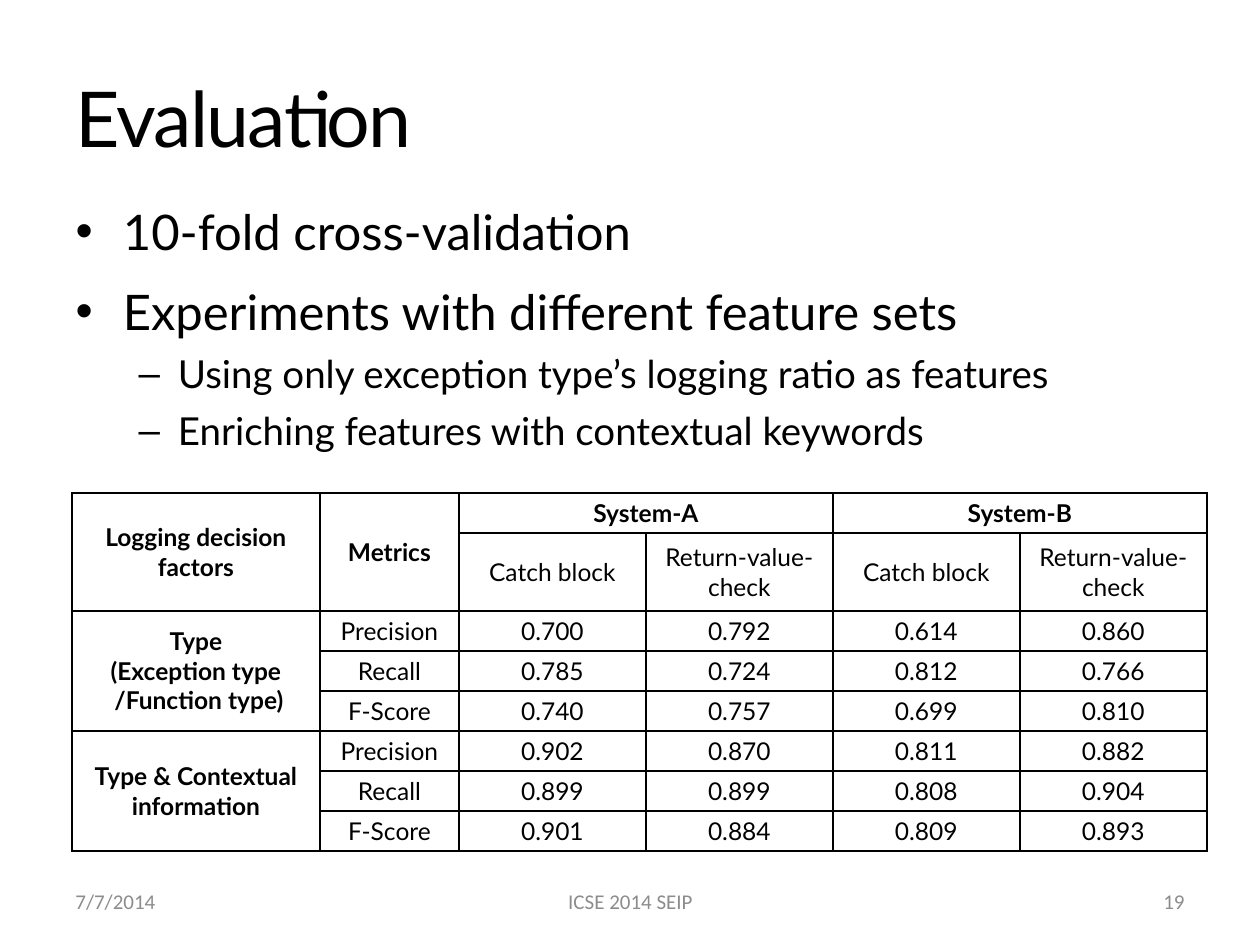
from dataclasses import dataclass

from lxml import etree
from pptx import Presentation
from pptx.dml.color import RGBColor
from pptx.enum.text import MSO_ANCHOR, PP_ALIGN
from pptx.oxml.ns import qn
from pptx.util import Emu, Pt

LEFT, CENTER, RIGHT = PP_ALIGN.LEFT, PP_ALIGN.CENTER, PP_ALIGN.RIGHT
MIDDLE = MSO_ANCHOR.MIDDLE
SCALE = 914400 / 126
BLACK, GRAY = "000000", "8C8C8C"


@dataclass
class Item:
    text: str
    level: int
    size: int
    before: int


@dataclass
class Note:
    text: str
    left: int
    width: int
    align: PP_ALIGN


ITEMS = [
    Item("10-fold cross-validation", 0, 28, 12),
    Item("Experiments with different feature sets", 0, 28, 12),
    Item("Using only exception type’s logging ratio as features", 1, 22, 6),
    Item("Enriching features with contextual keywords", 1, 22, 6),
]
NOTES = [
    Note("7/7/2014", 63, 294, LEFT),
    Note("ICSE 2014 SEIP", 431, 399, CENTER),
    Note("19", 903, 294, RIGHT),
]
COLS = [248, 139] + [187] * 4
ROWS = [40, 78] + [40] * 6
CELLS = [
    ["Logging decision factors", "Metrics", "System-A", "", "System-B", ""],
    ["", ""] + ["Catch block", "Return-value-check"] * 2,
    ["Type\n(Exception type\n /Function type)", "Precision", "0.700", "0.792", "0.614", "0.860"],
    ["", "Recall", "0.785", "0.724", "0.812", "0.766"],
    ["", "F-Score", "0.740", "0.757", "0.699", "0.810"],
    ["Type & Contextual information", "Precision", "0.902", "0.870", "0.811", "0.882"],
    ["", "Recall", "0.899", "0.899", "0.808", "0.904"],
    ["", "F-Score", "0.901", "0.884", "0.809", "0.893"],
]
SPANS = [(0, 0, 1, 0), (0, 1, 1, 1), (0, 2, 0, 3), (0, 4, 0, 5), (2, 0, 4, 0), (5, 0, 7, 0)]
HEAVY = {2, 5}


def px(count: int) -> Emu:
    return Emu(round(count * SCALE))


def color(code: str) -> RGBColor:
    return RGBColor.from_string(code)


def place(shape, left: int, top: int, width: int, height: int) -> None:
    shape.left, shape.top = px(left), px(top)
    shape.width, shape.height = px(width), px(height)


def style(para, size: int, face: str = "Lato", ink: str = BLACK,
          align: PP_ALIGN = LEFT, bold: bool = False) -> None:
    para.alignment = align
    font = para.font
    font.name, font.size, font.bold = face, Pt(size), bold
    font.color.rgb = color(ink)


def draw_title(shape) -> None:
    place(shape, 63, 38, 1134, 158)
    shape.text_frame.vertical_anchor = MIDDLE
    para = shape.text_frame.paragraphs[0]
    run = para.add_run()
    run.text = "Evaluation"
    run._r.get_or_add_rPr().set("spc", "-100")
    style(para, 44)


def draw_list(shape) -> None:
    place(shape, 63, 195, 1134, 649)
    frame = shape.text_frame
    frame.text = "\n".join(item.text for item in ITEMS)
    for para, item in zip(frame.paragraphs, ITEMS):
        para.level = item.level
        para.space_before = Pt(item.before)
        style(para, item.size)


def draw_edge(cell, row: int) -> None:
    props = cell._tc.get_or_add_tcPr()
    last = row + cell.span_height
    sides = {
        "a:lnL": 1,
        "a:lnR": 1,
        "a:lnT": 1.5 if row in HEAVY else 1,
        "a:lnB": 1.5 if last in HEAVY else 1,
    }
    for spot, (tag, width) in enumerate(sides.items()):
        line = etree.Element(qn(tag), w=str(Pt(width)))
        fill = etree.SubElement(line, qn("a:solidFill"))
        etree.SubElement(fill, qn("a:srgbClr"), val=BLACK)
        props.insert(spot, line)


def draw_cell(cell, text: str, row: int, col: int) -> None:
    cell.fill.background()
    cell.vertical_anchor = MIDDLE
    cell.margin_left = cell.margin_right = cell.margin_top = cell.margin_bottom = 0
    cell.text = text
    for para in cell.text_frame.paragraphs:
        style(para, 14, align=CENTER, bold=row == 0 or col == 0)
    draw_edge(cell, row)


def draw_table(slide) -> None:
    table = slide.shapes.add_table(len(ROWS), len(COLS), px(72), px(493),
                                   px(sum(COLS)), px(sum(ROWS))).table
    table.first_row = table.horz_banding = False
    for col, width in zip(table.columns, COLS):
        col.width = px(width)
    for row, height in zip(table.rows, ROWS):
        row.height = px(height)
    for top, left, low, right in SPANS:
        table.cell(top, left).merge(table.cell(low, right))
    for row, texts in enumerate(CELLS):
        for col, text in enumerate(texts):
            draw_cell(table.cell(row, col), text, row, col)


def draw_note(slide, note: Note) -> None:
    box = slide.shapes.add_textbox(px(note.left), px(876), px(note.width), px(50))
    frame = box.text_frame
    frame.word_wrap = True
    frame.vertical_anchor = MIDDLE
    frame.text = note.text
    style(frame.paragraphs[0], 12, "Calibri", GRAY, note.align)


def main() -> None:
    deck = Presentation()
    deck.slide_width, deck.slide_height = px(1260), px(945)
    slide = deck.slides.add_slide(deck.slide_layouts[1])
    draw_title(slide.shapes.title)
    draw_list(slide.placeholders[1])
    draw_table(slide)
    for note in NOTES:
        draw_note(slide, note)
    deck.save("out.pptx")


if __name__ == "__main__":
    main()
